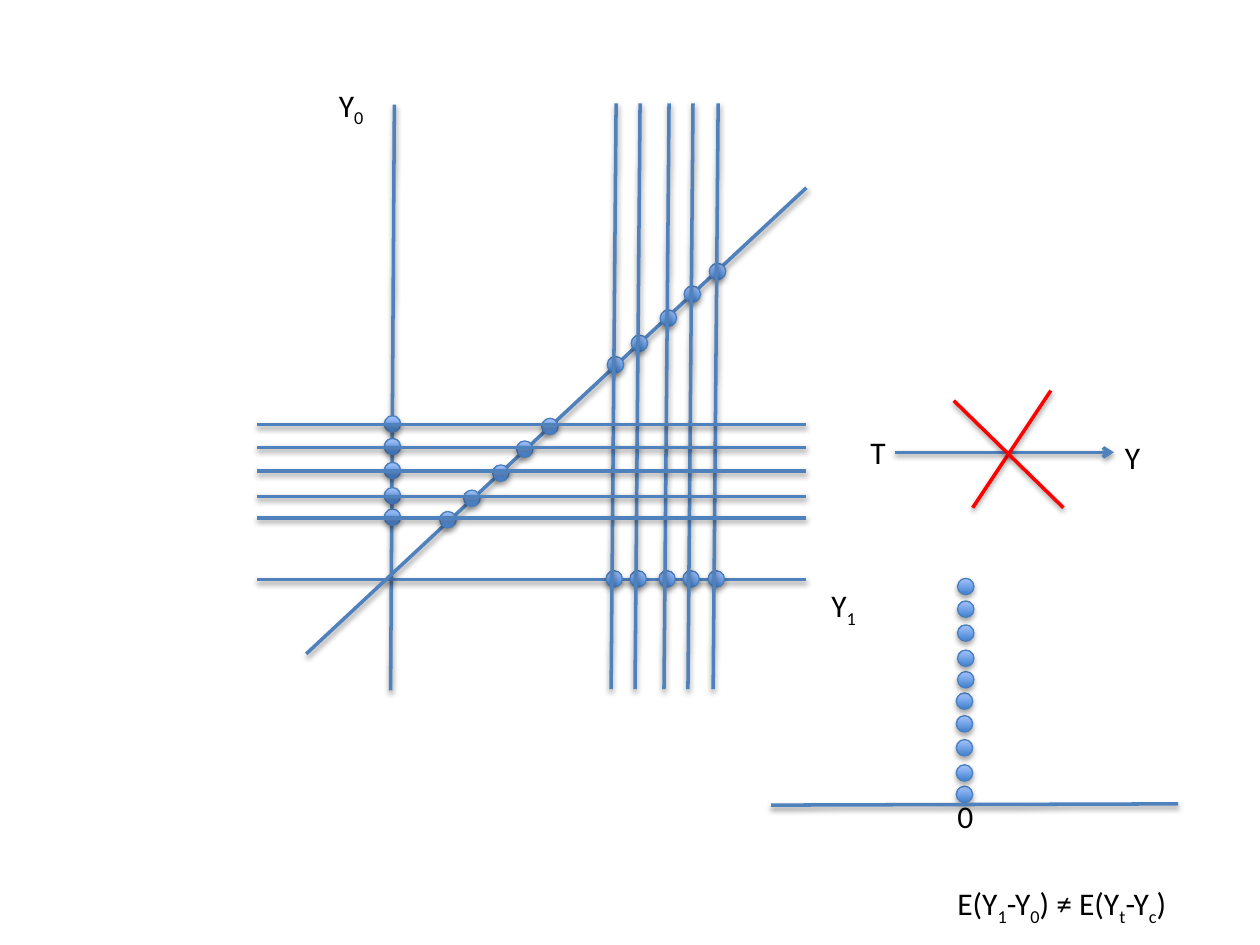
from dataclasses import dataclass

import pptx
import pptx.dml.color
import pptx.enum.shapes
import pptx.enum.text
import pptx.oxml
import pptx.oxml.ns
import pptx.util
from lxml import etree
from pptx.util import Inches


@dataclass(frozen=True)
class Theme:
    line: str = "4F81BD"
    cross: str = "FF0000"
    dot_bottom: str = "3F80CE"
    dot_top: str = "A4C4FF"
    dot_edge: str = "4B7EBC"
    text: str = "000000"
    font: str = "Calibri"
    text_size: int = 18
    line_width: float = 2
    edge_width: float = 0.75


@dataclass(frozen=True)
class Line:
    x1: float
    y1: float
    x2: float
    y2: float
    color: str
    arrow: bool = False


@dataclass(frozen=True)
class DotSeries:
    """Five dots from a first corner, following the outcome steps in x, in y or in both."""
    left: float
    top: float
    across: bool = False
    up: bool = False


@dataclass(frozen=True)
class Label:
    """Text in which an underscore lowers the character after it."""
    text: str
    left: float
    top: float
    width: float
    wrap: bool = False


THEME = Theme()
DOT_SIZE = 0.13
LABEL_HEIGHT = 0.4
STEPS_ACROSS = (0, 0.19, 0.42, 0.61, 0.81)
STEPS_UP = (0, 0.17, 0.37, 0.56, 0.74)

AXES = [
    Line(3.13, 0.83, 3.1, 5.48, THEME.line),
    Line(2.04, 4.6, 6.4, 4.6, THEME.line),
    Line(2.43, 5.19, 6.4, 1.49, THEME.line),
]
SCATTER_DOTS = [
    DotSeries(3.49, 4.06, across=True, up=True),
    DotSeries(4.82, 2.83, across=True, up=True),
    DotSeries(3.05, 4.04, up=True),
    DotSeries(4.81, 4.53, across=True),
]
DIFFERENCE_DOTS = [DotSeries(7.59, 6.24, up=True), DotSeries(7.6, 5.33, up=True)]
TREATED_LINES = [Line(4.89 + step, 0.82, 4.85 + step, 5.47, THEME.line) for step in STEPS_ACROSS]
CONTROL_LINES = [Line(2.04, 4.11 - step, 6.4, 4.11 - step, THEME.line) for step in STEPS_UP]
DIFFERENCE_AXIS = Line(6.12, 6.39, 9.35, 6.38, THEME.line)
CROSSED_EFFECT = [
    Line(7.1, 3.59, 8.84, 3.59, THEME.line, arrow=True),
    Line(8.34, 3.1, 7.72, 4.03, THEME.cross),
    Line(7.57, 3.18, 8.44, 4.03, THEME.cross),
]
LABELS = [
    Label("Y_0", 2.59, 0.63, 0.41),
    Label("Y_1", 6.5, 4.6, 0.41),
    Label("0", 7.5, 6.28, 0.33),
    Label("Y", 8.83, 3.43, 0.34, wrap=True),
    Label("T", 6.81, 3.39, 0.44, wrap=True),
    Label("E(Y_1-Y_0) ≠ E(Y_t-Y_c)", 7.5, 6.97, 1.94),
]


def rgb(color: str) -> pptx.dml.color.RGBColor:
    return pptx.dml.color.RGBColor.from_string(color)


def add_shadow(shape, distance: float, opacity: int) -> None:
    """Add a soft downward shadow; call after fill and line are set."""
    effects = pptx.oxml.parse_xml(
        f'<a:effectLst {pptx.oxml.ns.nsdecls("a")}>'
        f'<a:outerShdw blurRad="{pptx.util.Pt(3.1)}" dist="{pptx.util.Pt(distance)}"'
        ' dir="5400000" rotWithShape="0"><a:srgbClr val="000000">'
        f'<a:alpha val="{opacity * 1000}"/></a:srgbClr></a:outerShdw></a:effectLst>'
    )
    shape.element.spPr.append(effects)


def draw_line(page, line: Line) -> None:
    connector = page.shapes.add_connector(
        pptx.enum.shapes.MSO_CONNECTOR.STRAIGHT,
        Inches(line.x1), Inches(line.y1), Inches(line.x2), Inches(line.y2),
    )
    connector.line.width = pptx.util.Pt(THEME.line_width)
    connector.line.color.rgb = rgb(line.color)
    if line.arrow:
        outline = connector.element.spPr.find(pptx.oxml.ns.qn("a:ln"))
        etree.SubElement(outline, pptx.oxml.ns.qn("a:tailEnd"), type="arrow")
    add_shadow(connector, distance=1.6, opacity=38)


def draw_dot(page, left: float, top: float) -> None:
    dot = page.shapes.add_shape(
        pptx.enum.shapes.MSO_SHAPE.OVAL,
        Inches(left), Inches(top), Inches(DOT_SIZE), Inches(DOT_SIZE),
    )
    dot.fill.gradient()
    dot.fill.gradient_angle = 90
    for stop, color in zip(dot.fill.gradient_stops, (THEME.dot_bottom, THEME.dot_top)):
        stop.color.rgb = rgb(color)
    dot.line.color.rgb = rgb(THEME.dot_edge)
    dot.line.width = pptx.util.Pt(THEME.edge_width)
    add_shadow(dot, distance=1.8, opacity=35)


def draw_dots(page, series: DotSeries) -> None:
    for step_across, step_up in zip(STEPS_ACROSS, STEPS_UP):
        draw_dot(page, series.left + step_across * series.across, series.top - step_up * series.up)


def draw_label(page, label: Label) -> None:
    box = page.shapes.add_textbox(
        Inches(label.left), Inches(label.top), Inches(label.width), Inches(LABEL_HEIGHT)
    )
    frame = box.text_frame
    frame.word_wrap = label.wrap
    frame.auto_size = pptx.enum.text.MSO_AUTO_SIZE.SHAPE_TO_FIT_TEXT
    para = frame.paragraphs[0]
    para.font.name = THEME.font
    para.font.size = pptx.util.Pt(THEME.text_size)
    para.font.color.rgb = rgb(THEME.text)
    first, *rest = label.text.split("_")
    para.add_run().text = first
    for part in rest:
        span = para.add_run()
        span.text = part[0]
        span.font._element.set("baseline", "-25000")
        if part[1:]:
            para.add_run().text = part[1:]


def main() -> None:
    deck = pptx.Presentation()
    deck.slide_width, deck.slide_height = Inches(10), Inches(7.5)
    page = deck.slides.add_slide(deck.slide_layouts.get_by_name("Blank"))

    for line in AXES:
        draw_line(page, line)
    for series in SCATTER_DOTS:
        draw_dots(page, series)
    for line in TREATED_LINES:
        draw_line(page, line)
    for series in DIFFERENCE_DOTS:
        draw_dots(page, series)
    for line in [DIFFERENCE_AXIS, *CROSSED_EFFECT, *CONTROL_LINES]:
        draw_line(page, line)
    for label in LABELS:
        draw_label(page, label)

    deck.save("out.pptx")


if __name__ == "__main__":
    main()
